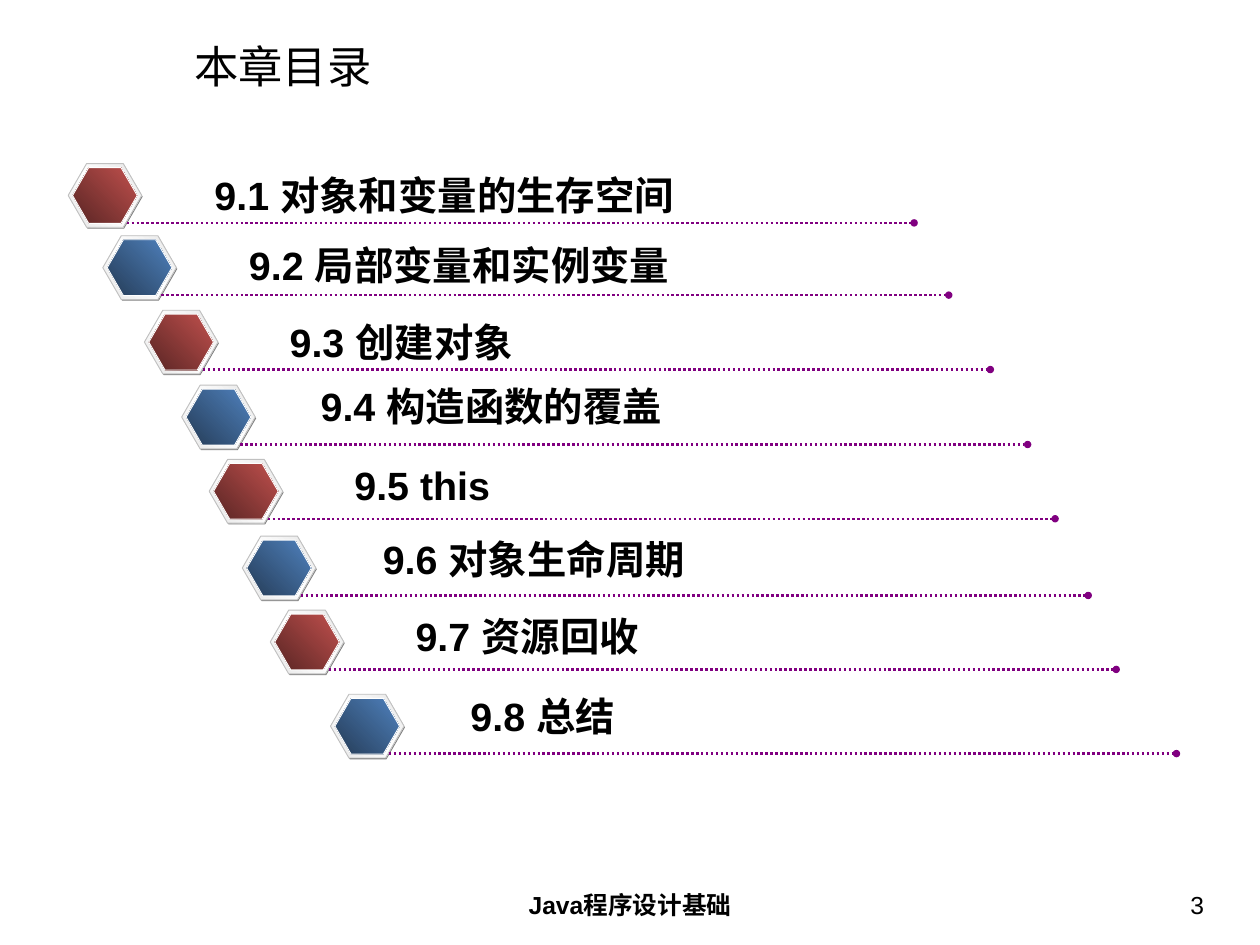
from copy import deepcopy
from typing import NamedTuple

from lxml.etree import SubElement
from pptx import Presentation
from pptx.dml.color import RGBColor
from pptx.enum.dml import MSO_LINE
from pptx.enum.shapes import MSO_CONNECTOR, MSO_SHAPE
from pptx.enum.text import MSO_ANCHOR, MSO_AUTO_SIZE as AUTO_SIZE, PP_ALIGN
from pptx.oxml.ns import qn
from pptx.util import Inches, Pt

SLIDE_W, SLIDE_H = Inches(14.22), Inches(10.66)
COLUMNS, ROWS = 100, 75
FONT = "Arial"

BLACK = RGBColor(0x00, 0x00, 0x00)
WHITE = RGBColor(0xFF, 0xFF, 0xFF)
SHADE = RGBColor(0x80, 0x80, 0x80)
PEARL = RGBColor(0xE6, 0xE6, 0xE6)
SILVER = RGBColor(0xC0, 0xC0, 0xC0)
PURPLE = RGBColor(0x80, 0x00, 0x80)
RED_FACE = (RGBColor(0x59, 0x25, 0x24), RGBColor(0xC0, 0x50, 0x4D))
BLUE_FACE = (RGBColor(0x25, 0x3C, 0x57), RGBColor(0x4F, 0x81, 0xBD))


class Entry(NamedTuple):
    """A contents entry: badge corner, label offset from it and label width."""
    title: str
    col: float
    row: float
    label_dx: float
    label_dy: float
    label_width: float


ENTRIES = [
    Entry("9.1 对象和变量的生存空间", 5.41, 12.98, 10.91, 0.28, 39.5),
    Entry("9.2 局部变量和实例变量", 8.16, 18.71, 10.9, 0.11, 36.5),
    Entry("9.3 创建对象", 11.46, 24.62, 10.83, 0.24, 20.5),
    Entry("9.4 构造函数的覆盖", 14.42, 30.57, 10.33, -0.63, 30),
    Entry("9.5 this", 16.6, 36.46, 10.83, -0.24, 13),
    Entry("9.6 对象生命周期", 19.23, 42.55, 10.45, -0.43, 27),
    Entry("9.7 资源回收", 21.45, 48.42, 10.83, -0.18, 20.5),
    Entry("9.8 总结", 26.23, 55.1, 10.41, -0.49, 14.5),
]


def across(columns):
    """Return the length of a number of grid columns."""
    return round(SLIDE_W * columns / COLUMNS)


def down(rows):
    """Return the length of a number of grid rows."""
    return round(SLIDE_H * rows / ROWS)


def place(col, row, width, height):
    """Return a grid box as left, top, width and height."""
    return across(col), down(row), across(width), down(height)


def write(frame, text, size, bold=False, align=PP_ALIGN.LEFT,
          anchor=MSO_ANCHOR.TOP, inset=1, wrap=True):
    """Fill a text frame with one formatted paragraph."""
    frame.word_wrap = wrap
    frame.auto_size = AUTO_SIZE.NONE
    frame.vertical_anchor = anchor
    frame.margin_left = frame.margin_right = across(inset)
    frame.margin_top = frame.margin_bottom = down(inset / 2)
    paragraph = frame.paragraphs[0]
    paragraph.alignment = align
    run = paragraph.add_run()
    run.text = text
    run.font.name = FONT
    run.font.size = Pt(size)
    run.font.bold = bold
    run.font.color.rgb = BLACK


def add_hexagon(shapes, box, colours, outline=None):
    """Add a hexagon with a plain or diagonal gradient fill."""
    hexagon = shapes.add_shape(MSO_SHAPE.HEXAGON, *place(*box))
    hexagon.shadow.inherit = False
    hexagon.adjustments[0] = 0.29
    fill = hexagon.fill
    if len(colours) == 1:
        fill.solid()
        fill.fore_color.rgb = colours[0]
    else:
        fill.gradient()
        fill.gradient_angle = 45
        stop_list = next(hexagon._element.iter(qn("a:gsLst")))
        for _ in colours[2:]:
            stop_list.append(deepcopy(stop_list[-1]))
        for index, (stop, colour) in enumerate(zip(fill.gradient_stops, colours)):
            stop.position = index / (len(colours) - 1)
            stop.color.rgb = colour
    if outline is None:
        hexagon.line.fill.background()
    else:
        hexagon.line.color.rgb = outline
        hexagon.line.width = Pt(0.75)


def add_badge(shapes, col, row, face):
    """Add the layered hexagon badge at a grid position."""
    width, height = 5.84, 5.06
    add_hexagon(shapes, (col + 0.07, row + 0.1, width, height), [SHADE])
    add_hexagon(shapes, (col, row, width, height), [PEARL, WHITE, PEARL], SILVER)
    add_hexagon(shapes, (col + 0.35, row + 0.32, 5.13, 4.43), face, WHITE)


def add_rule(shapes, col, row, length):
    """Add a dotted rule that ends in a round dot."""
    y = down(row)
    rule = shapes.add_connector(
        MSO_CONNECTOR.STRAIGHT, across(col), y, across(col + length), y)
    rule.line.color.rgb = PURPLE
    rule.line.width = Pt(2)
    rule.line.dash_style = MSO_LINE.ROUND_DOT
    properties = rule._element.spPr
    SubElement(properties.find(qn("a:ln")), qn("a:tailEnd"), type="oval")
    SubElement(properties, qn("a:effectLst"))


def add_entry(slide, entry, face):
    """Add one contents entry as a group of badge, rule and label."""
    shapes = slide.shapes.add_group_shape().shapes
    add_badge(shapes, entry.col, entry.row, face)
    add_rule(shapes, entry.col + 4.64, entry.row + 4.71, 62.5)
    label = shapes.add_textbox(*place(
        entry.col + entry.label_dx, entry.row + entry.label_dy, entry.label_width, 4.5))
    write(label.text_frame, entry.title, 32, bold=True, inset=0.7, wrap=False)


def add_heading(slide, box):
    """Move and fill the title placeholder."""
    heading = slide.shapes.title
    heading.left, heading.top, heading.width, heading.height = place(*box)
    write(heading.text_frame, "本章目录", 36, anchor=MSO_ANCHOR.MIDDLE)


def add_footer(slide, row, height):
    """Add the course name and page number along the bottom."""
    course = slide.shapes.add_textbox(*place(34.18, row, 31.65, height))
    write(course.text_frame, "Java程序设计基础", 20, bold=True, align=PP_ALIGN.CENTER)
    page = slide.shapes.add_textbox(*place(73.21, row, 23.35, height))
    write(page.text_frame, "3", 20, align=PP_ALIGN.RIGHT)


def main():
    """Build and save the contents slide."""
    deck = Presentation()
    deck.slide_width, deck.slide_height = SLIDE_W, SLIDE_H
    slide = deck.slides.add_slide(deck.slide_layouts.get_by_name("Title Only"))
    add_heading(slide, (14.42, 3.2, 83.19, 4.01))
    add_footer(slide, 70.15, 3.87)
    for index, entry in enumerate(ENTRIES):
        add_entry(slide, entry, BLUE_FACE if index % 2 else RED_FACE)
    deck.save("out.pptx")


if __name__ == "__main__":
    main()
